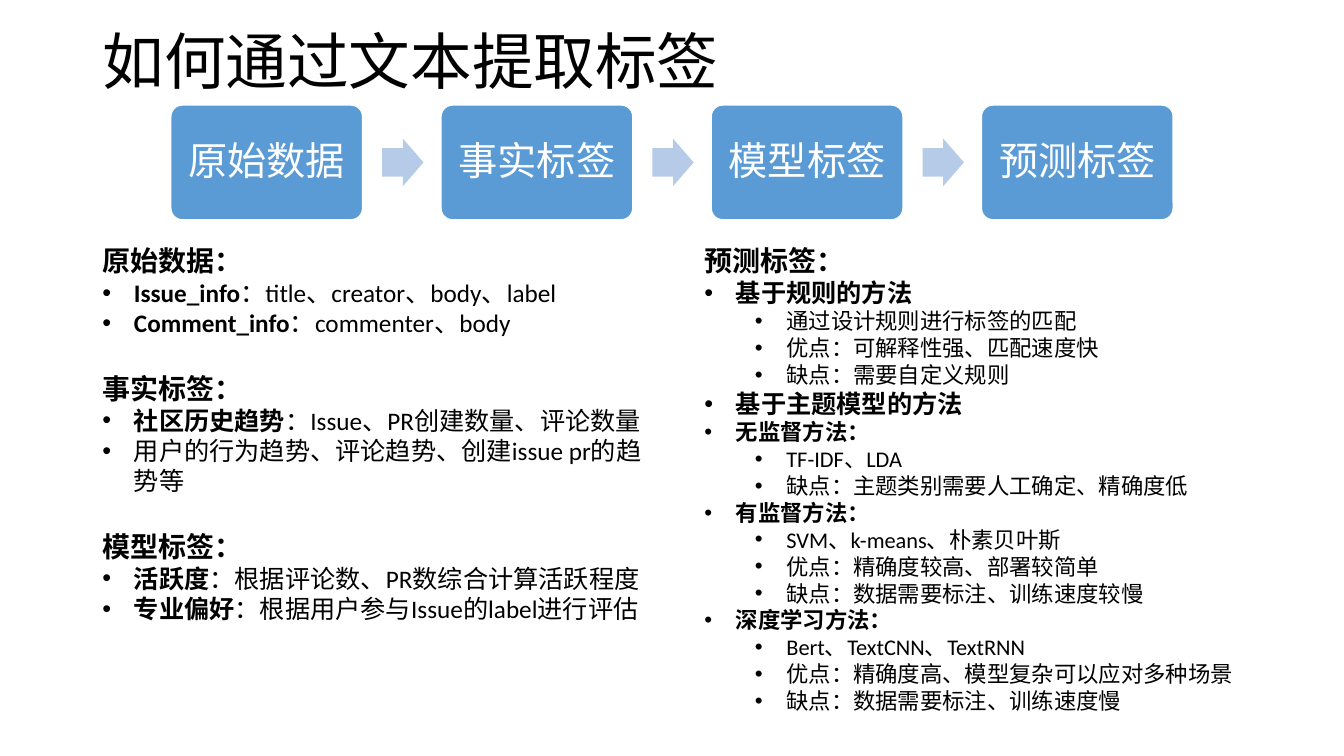
from lxml import etree
from pptx import Presentation
from pptx import util as u
from pptx.dml.color import RGBColor
from pptx.enum import shapes, text
from pptx.oxml.ns import qn

Pt = u.Pt
FONT = "Calibri"
HEX = {"ink": "000000", "box": "5B9BD5", "arrow": "B5CBE7", "white": "FFFFFF"}


def color(name):
    return RGBColor.from_string(HEX[name])


def style(run, size, bold=False, ink="ink"):
    run.font.name = FONT
    run.font.size = Pt(size)
    run.font.bold = bold
    run.font.color.rgb = color(ink)


deck = Presentation()
deck.slide_width, deck.slide_height = Pt(960), Pt(540)
slide = deck.slides.add_slide(deck.slide_layouts[3])  # title and two lists

# Title
title = slide.shapes.title
title.left, title.top, title.width, title.height = Pt(66), Pt(-6), Pt(828), Pt(104.4)
frame = title.text_frame
frame.text = "如何通过文本提取标签"
frame.auto_size = text.MSO_AUTO_SIZE.NONE
frame.vertical_anchor = text.MSO_ANCHOR.MIDDLE
head = frame.paragraphs[0]
head.alignment = text.PP_ALIGN.LEFT
head.line_spacing = 0.9
style(head.runs[0], 44)

# Process chain: boxes with an arrow in each gap
STEPS = ["原始数据", "事实标签", "模型标签", "预测标签"]
LEFT, TOP, WIDE, HIGH, PITCH = 122, 75, 137, 82, 193
for i, label in enumerate(STEPS):
    x = LEFT + i * PITCH
    box = slide.shapes.add_shape(shapes.MSO_SHAPE.ROUNDED_RECTANGLE,
                                 Pt(x), Pt(TOP), Pt(WIDE), Pt(HIGH))
    box.adjustments[0] = 0.1
    box.shadow.inherit = False
    box.fill.solid()
    box.fill.fore_color.rgb = color("box")
    box.line.color.rgb = color("white")
    box.line.width = Pt(1)
    frame = box.text_frame
    frame.text = label
    frame.word_wrap = True
    frame.margin_left = frame.margin_right = Pt(8)
    frame.vertical_anchor = text.MSO_ANCHOR.MIDDLE
    para = frame.paragraphs[0]
    para.alignment = text.PP_ALIGN.CENTER
    para.line_spacing = 0.9
    style(para.runs[0], 28, ink="white")

    if i < len(STEPS) - 1:
        arrow = slide.shapes.add_shape(shapes.MSO_SHAPE.RIGHT_ARROW,
                                       Pt(x + 151), Pt(99), Pt(29.5), Pt(34))
        arrow.adjustments[0], arrow.adjustments[1] = 0.6, 0.5
        arrow.shadow.inherit = False
        arrow.fill.solid()
        arrow.fill.fore_color.rgb = color("arrow")
        arrow.line.fill.background()

# List rows: depth (0 heading, 1 and 2 bullets), size, bold part, plain part
SOURCES = [
    (0, 20, "原始数据：", ""),
    (1, 18, "Issue_info", "：title、creator、body、label"),
    (1, 18, "Comment_info", "：commenter、body"),
    (0, 20, "事实标签：", ""),
    (1, 18, "社区历史趋势", "：Issue、PR创建数量、评论数量"),
    (1, 18, "", "用户的行为趋势、评论趋势、创建issue pr的趋势等"),
    (0, 20, "模型标签：", ""),
    (1, 18, "活跃度", "：根据评论数、PR数综合计算活跃程度"),
    (1, 18, "专业偏好", "：根据用户参与Issue的label进行评估"),
]
METHODS = [
    (0, 20, "预测标签：", ""),
    (1, 18, "基于规则的方法", ""),
    (2, 16, "", "通过设计规则进行标签的匹配"),
    (2, 16, "", "优点：可解释性强、匹配速度快"),
    (2, 16, "", "缺点：需要自定义规则"),
    (1, 18, "基于主题模型的方法", ""),
    (1, 16, "无监督方法：", ""),
    (2, 16, "", "TF-IDF、LDA"),
    (2, 16, "", "缺点：主题类别需要人工确定、精确度低"),
    (1, 16, "有监督方法：", ""),
    (2, 16, "", "SVM、k-means、朴素贝叶斯"),
    (2, 16, "", "优点：精确度较高、部署较简单"),
    (2, 16, "", "缺点：数据需要标注、训练速度较慢"),
    (1, 16, "深度学习方法：", ""),
    (2, 16, "", "Bert、TextCNN、TextRNN"),
    (2, 16, "", "优点：精确度高、模型复杂可以应对多种场景"),
    (2, 16, "", "缺点：数据需要标注、训练速度慢"),
]
INDENT = {0: (0, 0), 1: (22.5, -22.5), 2: (58.5, -22.5)}

# Lists
for slot, x, high, rows in [(1, 66, 305.5, SOURCES), (2, 496, 366, METHODS)]:
    body = slide.placeholders[slot]
    body.left, body.top, body.width, body.height = Pt(x), Pt(170.5), Pt(414), Pt(high)
    frame = body.text_frame
    frame.auto_size = text.MSO_AUTO_SIZE.NONE
    frame.vertical_anchor = text.MSO_ANCHOR.TOP
    for n, (depth, size, bold, plain) in enumerate(rows):
        para = frame.add_paragraph() if n else frame.paragraphs[0]
        para.text = bold or plain
        style(para.runs[0], size, bool(bold))
        if bold and plain:
            run = para.add_run()
            run.text = plain
            style(run, size)
        para.level = max(depth - 1, 0)
        para.line_spacing = 1.0
        para.space_before = Pt(24 if n and depth == 0 else 0)
        # Bullet and hanging indent
        props = para._p.get_or_add_pPr()
        margin, hang = INDENT[depth]
        props.set("marL", str(Pt(margin)))
        props.set("indent", str(Pt(hang)))
        if depth:
            etree.SubElement(props, qn("a:buFont")).set("typeface", "Arial")
            etree.SubElement(props, qn("a:buChar")).set("char", "•")
        else:
            etree.SubElement(props, qn("a:buNone"))

deck.save("out.pptx")
